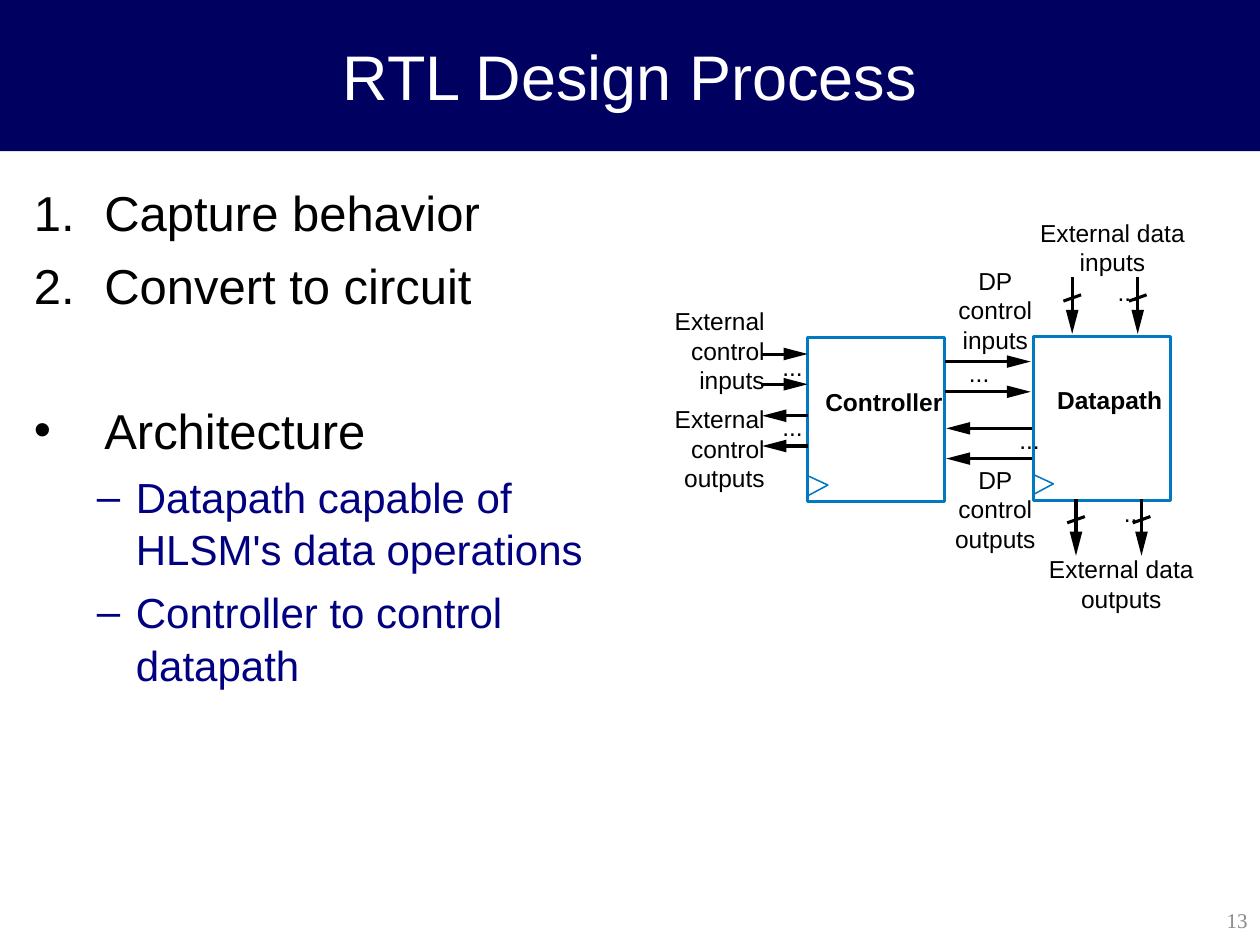
from lxml import etree
from pptx import Presentation
from pptx.dml.color import RGBColor
from pptx.enum import shapes, text
from pptx.oxml import ns
from pptx.util import Inches, Pt

NAVY, BLACK, WHITE, BLUE, GREY = "000060", "000000", "FFFFFF", "0079C1", "898989"
LEFT, CENTER, RIGHT = text.PP_ALIGN.LEFT, text.PP_ALIGN.CENTER, text.PP_ALIGN.RIGHT


def color(value):
    """Turn a hex string into a colour."""
    return RGBColor.from_string(value)


def add_run(paragraph, words, size, hue, font="Arial", bold=False):
    """Append one formatted run."""
    run = paragraph.add_run()
    run.text = words
    run.font.name, run.font.size, run.font.bold = font, Pt(size), bold
    run.font.color.rgb = color(hue)


def add_label(slide, left, top, width, lines, align=LEFT, bold=False):
    """Write a small label, one paragraph for each line."""
    box = slide.shapes.add_textbox(
        Inches(left), Inches(top), Inches(width), Inches(0.23 * len(lines)))
    frame = box.text_frame
    frame.word_wrap = True
    frame.margin_left = frame.margin_right = frame.margin_top = frame.margin_bottom = 0
    for index, line in enumerate(lines):
        paragraph = frame.add_paragraph() if index else frame.paragraphs[0]
        paragraph.alignment = align
        if len(lines) > 1:
            paragraph.line_spacing = Pt(16.8)
        add_run(paragraph, line, 14, BLACK, bold=bold)


def add_line(slide, x1, y1, x2, y2):
    """Draw a plain black line."""
    line = slide.shapes.add_connector(
        shapes.MSO_CONNECTOR.STRAIGHT, Inches(x1), Inches(y1), Inches(x2), Inches(y2))
    line.line.color.rgb = color(BLACK)
    line.line.width = Pt(1.75)
    etree.SubElement(line._element.spPr, ns.qn("a:effectLst"))


def add_outline(slide, points, close):
    """Build a freeform through the points, without fill or line."""
    (x, y), *rest = [(Inches(px), Inches(py)) for px, py in points]
    builder = slide.shapes.build_freeform(x, y)
    builder.add_line_segments(rest, close=close)
    shape = builder.convert_to_shape()
    shape.shadow.inherit = False
    shape.fill.background()
    shape.line.fill.background()
    return shape


def add_arrow(slide, x1, y1, x2, y2):
    """Draw a horizontal or vertical arrow with a long, slim head."""
    length = abs(x2 - x1) + abs(y2 - y1)
    dx, dy = (x2 - x1) / length, (y2 - y1) / length
    add_line(slide, x1, y1, x2 - 0.16 * dx, y2 - 0.16 * dy)
    base_x, base_y = x2 - 0.19 * dx, y2 - 0.19 * dy
    side_x, side_y = 0.05 * dy, 0.05 * dx
    head = add_outline(slide, [(base_x - side_x, base_y - side_y), (x2, y2),
                               (base_x + side_x, base_y + side_y)], True)
    head.fill.solid()
    head.fill.fore_color.rgb = color(BLACK)


def add_bus(slide, left, top, start, end, dots):
    """Draw two parallel arrows with dots; vertical ones carry a slash."""
    vertical = start[0] == end[0]
    step_x, step_y = (0.52, 0) if vertical else (0, 0.24)
    for index in range(2):
        x, y = left + index * step_x, top + index * step_y
        add_arrow(slide, x + start[0], y + start[1], x + end[0], y + end[1])
        if vertical:
            middle, slash = x + start[0], y + start[1] + 0.14
            add_line(slide, middle + 0.07, slash, middle - 0.07, slash + 0.05)
    add_label(slide, left + dots[0], top + dots[1], 0.3, ["..."])


def add_block(slide, left, top, name, indent):
    """Draw a clocked block with its name."""
    block = slide.shapes.add_shape(
        shapes.MSO_SHAPE.RECTANGLE, Inches(left), Inches(top), Inches(1.09), Inches(1.3))
    block.shadow.inherit = False
    block.fill.background()
    clock = add_outline(slide, [(left + 0.01, top + 1.25), (left + 0.16, top + 1.17),
                                (left + 0.01, top + 1.1)], False)
    for shape, width in ((block, 1.75), (clock, 0.88)):
        shape.line.color.rgb = color(BLUE)
        shape.line.width = Pt(width)
    add_label(slide, left + indent, top + 0.39, 1, [name], bold=True)


def add_diagram(slide, left, top):
    """Draw the controller and datapath with their signals."""
    add_block(slide, left + 1.11, top + 0.98, "Controller", 0.14)
    add_block(slide, left + 2.9, top + 0.97, "Datapath", 0.19)
    buses = [
        ((0.74, 1.11), (1.11, 1.11), (0.91, 1.09)),
        ((1.11, 1.6), (0.75, 1.6), (0.91, 1.57)),
        ((2.2, 1.17), (2.88, 1.17), (2.39, 1.14)),
        ((2.89, 1.7), (2.21, 1.7), (2.79, 1.67)),
        ((3.21, 0.5), (3.21, 0.95), (3.57, 0.5)),
        ((3.24, 2.26), (3.24, 2.71), (3.62, 2.25)),
    ]
    for start, end, dots in buses:
        add_bus(slide, left, top, start, end, dots)
    labels = [
        (-0.06, 0.73, 0.83, ["External", "control", "inputs"], RIGHT),
        (-0.06, 1.51, 0.83, ["External", "control", "outputs"], RIGHT),
        (2.2, 0.41, 0.8, ["DP", "control", "inputs"], CENTER),
        (2.2, 1.99, 0.8, ["DP", "control", "outputs"], CENTER),
        (2.88, 0.03, 1.3, ["External data", "inputs"], CENTER),
        (2.95, 2.7, 1.3, ["External data", "outputs"], CENTER),
    ]
    for x, y, width, lines, align in labels:
        add_label(slide, left + x, top + y, width, lines, align)


def add_title(slide, left, top, width, height):
    """Format the title as a navy band."""
    title = slide.shapes.title
    title.left, title.top, title.width, title.height = map(
        Inches, (left, top, width, height))
    title.fill.solid()
    title.fill.fore_color.rgb = color(NAVY)
    title.text_frame.vertical_anchor = text.MSO_ANCHOR.MIDDLE
    paragraph = title.text_frame.paragraphs[0]
    paragraph.alignment = CENTER
    add_run(paragraph, "RTL Design Process", 36, WHITE)


def set_bullet(paragraph, margin, indent, tag, **attributes):
    """Give a paragraph its hanging indent and bullet."""
    properties = paragraph._p.get_or_add_pPr()
    properties.set("marL", str(Inches(margin)))
    properties.set("indent", str(-Inches(indent)))
    font = etree.SubElement(properties, ns.qn("a:buFont"))
    font.set("typeface", "Arial")
    bullet = etree.SubElement(properties, ns.qn(tag))
    for key, value in attributes.items():
        bullet.set(key, value)


def add_outline_text(slide, left, top, width, height):
    """Write the numbered steps and the architecture points."""
    box = slide.shapes.add_textbox(*map(Inches, (left, top, width, height)))
    frame = box.text_frame
    frame.word_wrap = True
    number = {"tag": "a:buAutoNum", "type": "arabicPeriod"}
    dot, dash = {"tag": "a:buChar", "char": "•"}, {"tag": "a:buChar", "char": "–"}
    items = [
        ("Capture behavior", 0, 0, number),
        ("Convert to circuit", 0, 7, number),
        ("Architecture", 0, 47.5, dot),
        ("Datapath capable of HLSM's data operations", 1, 6, dash),
        ("Controller to control datapath", 1, 6, dash),
    ]
    levels = [(0.56, 0.56, 28, BLACK), (0.81, 0.31, 24, "000080")]
    for index, (words, level, before, bullet) in enumerate(items):
        paragraph = frame.add_paragraph() if index else frame.paragraphs[0]
        margin, indent, size, hue = levels[level]
        set_bullet(paragraph, margin, indent, **bullet)
        paragraph.level = level
        paragraph.space_before = Pt(before)
        paragraph.line_spacing = 1.04
        add_run(paragraph, words, size, hue)


def add_slide_number(slide, left, top, width, height):
    """Write the slide number."""
    box = slide.shapes.add_textbox(*map(Inches, (left, top, width, height)))
    box.text_frame.word_wrap = True
    box.text_frame.vertical_anchor = text.MSO_ANCHOR.MIDDLE
    paragraph = box.text_frame.paragraphs[0]
    paragraph.alignment = RIGHT
    add_run(paragraph, "13", 12, GREY, font="Times New Roman")


def main():
    """Build and save the slide."""
    presentation = Presentation()
    presentation.slide_width, presentation.slide_height = Inches(10), Inches(7.5)
    slide = presentation.slides.add_slide(presentation.slide_layouts[5])
    add_title(slide, 0, 0, 10, 1.2)
    add_outline_text(slide, 0.17, 1.38, 4.89, 5.72)
    add_slide_number(slide, 7.88, 7.1, 2.12, 0.4)
    add_diagram(slide, 5.3, 1.7)
    presentation.save("out.pptx")


if __name__ == "__main__":
    main()
